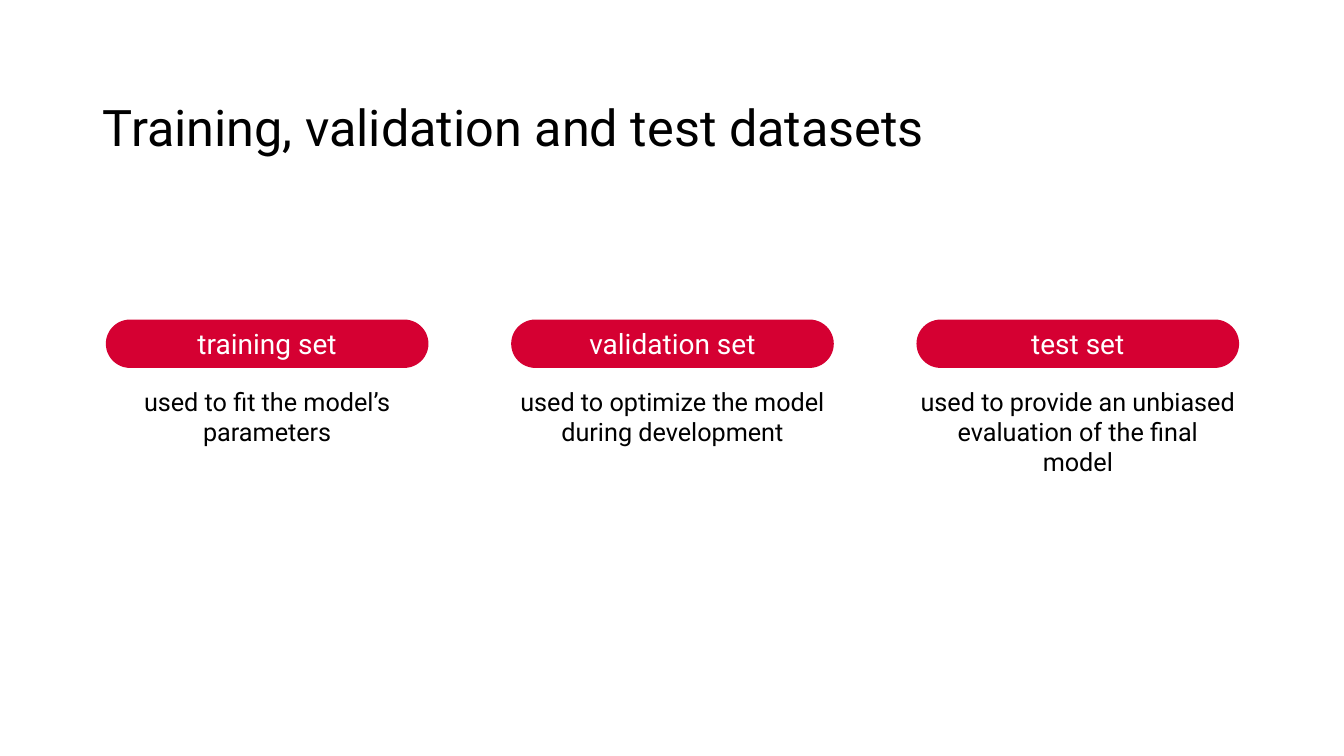
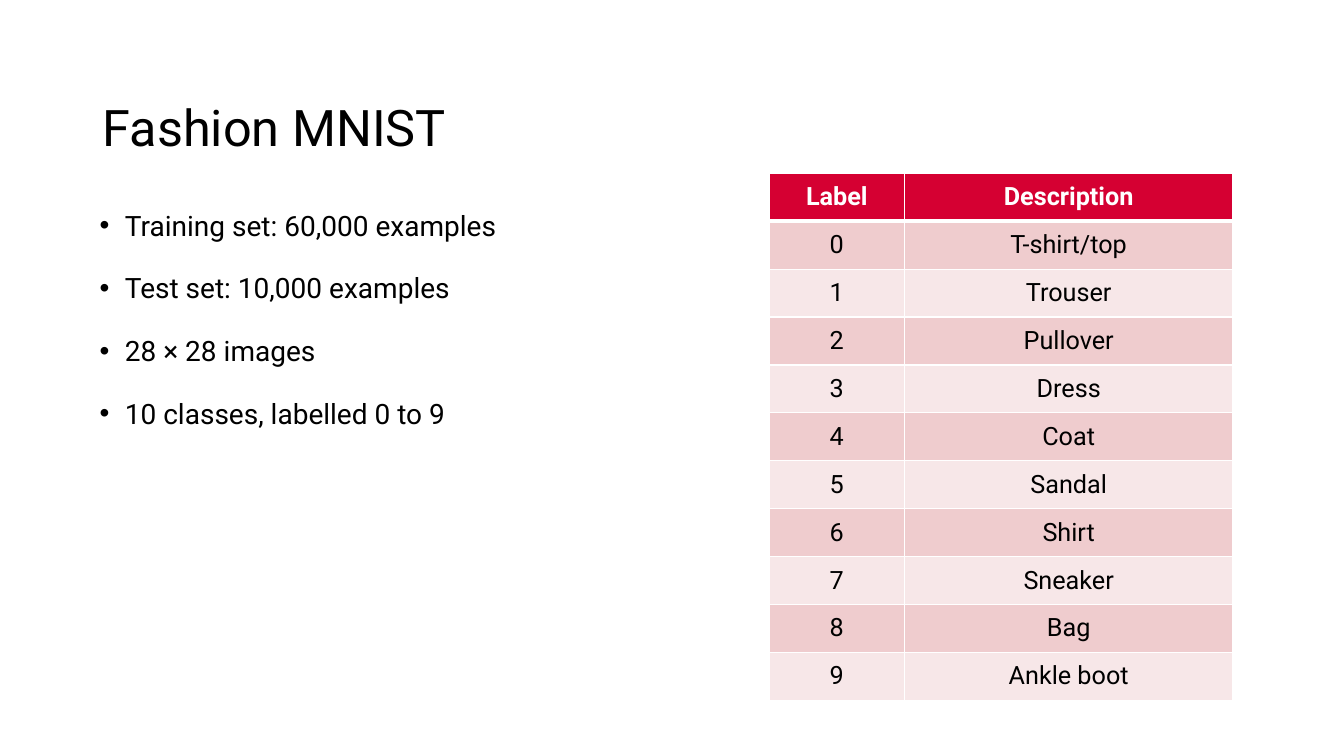
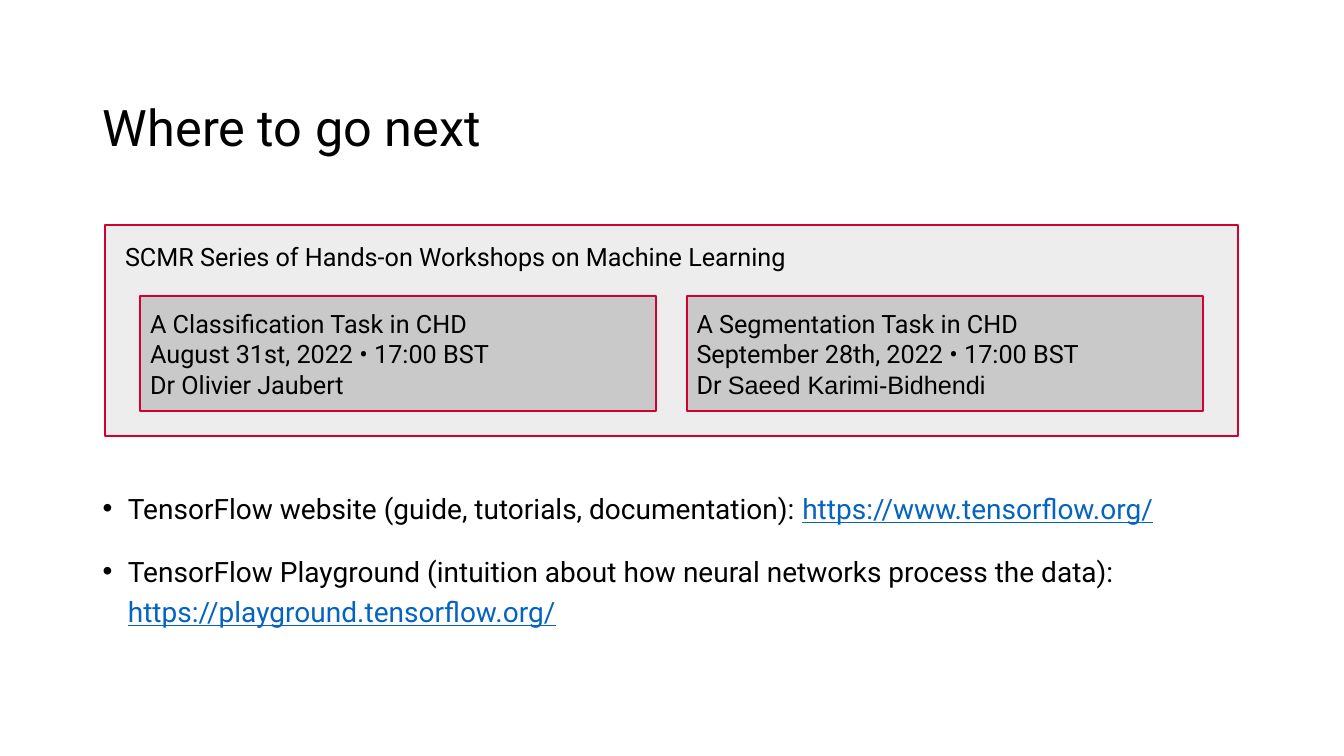
from lxml import etree
from pptx import Presentation
from pptx.dml.color import RGBColor
from pptx.enum.shapes import MSO_SHAPE
from pptx.enum.text import MSO_ANCHOR, MSO_AUTO_SIZE, PP_ALIGN
from pptx.oxml.ns import qn
from pptx.util import Inches, Pt

RECT, PILL = MSO_SHAPE.RECTANGLE, MSO_SHAPE.ROUNDED_RECTANGLE
LEFT, CENTER = PP_ALIGN.LEFT, PP_ALIGN.CENTER
TOP, MIDDLE = MSO_ANCHOR.TOP, MSO_ANCHOR.MIDDLE

COLORS = {"accent": "D50032", "text": "000000", "white": "FFFFFF",
          "link": "0563C1", "panel": "EDEDED", "card": "C9C9C9",
          "odd_row": "EFCCCE", "even_row": "F7E7E8"}
TITLE_BOX = (0.92, 0.79, 11.5, 1.01)

DATASETS = [
    ("training set", "used to fit the model’s parameters"),
    ("validation set", "used to optimize the model during development"),
    ("test set", "used to provide an unbiased evaluation of the final model"),
]
FACTS = ["Training set: 60,000 examples", "Test set: 10,000 examples",
         "28 × 28 images", "10 classes, labelled 0 to 9"]
CLASSES = ["T-shirt/top", "Trouser", "Pullover", "Dress", "Coat",
           "Sandal", "Shirt", "Sneaker", "Bag", "Ankle boot"]
SERIES = "SCMR Series of Hands-on Workshops on Machine Learning"
WORKSHOPS = [
    ["A Classification Task in CHD", "August 31st, 2022 • 17:00 BST",
     "Dr Olivier Jaubert"],
    ["A Segmentation Task in CHD", "September 28th, 2022 • 17:00 BST",
     ["Dr ", ("Saeed Karimi-Bidhendi", {"name": "Arial"})]],
]
LINK = {"color": "link", "underline": True}
RESOURCES = [
    ["TensorFlow website (guide, tutorials, documentation): ",
     ("https://www.tensorflow.org/", LINK)],
    ["TensorFlow Playground (intuition about how neural networks process the data): ",
     ("https://playground.tensorflow.org/", LINK)],
]


def rgb(name):
    return RGBColor.from_string(COLORS[name])


def inches(*lengths):
    return [Inches(n) for n in lengths]


def write(tf, paragraphs, size=18, align=LEFT, anchor=TOP, bullets=False, **style):
    """Fill a frame; a paragraph is a string or a list of strings and (text, style) runs."""
    tf.word_wrap, tf.vertical_anchor = True, anchor
    for i, parts in enumerate(paragraphs):
        p = tf.add_paragraph() if i else tf.paragraphs[0]
        p.alignment = align
        if bullets:
            pPr = p._p.get_or_add_pPr()
            pPr.set("marL", str(Inches(0.25)))
            pPr.set("indent", str(-Inches(0.25)))
            etree.SubElement(pPr, qn("a:buFont"), typeface="Arial")
            etree.SubElement(pPr, qn("a:buChar"), char="•")
            p.line_spacing, p.space_after = 1.2, Pt(6)
            p.space_before = Pt(10 if i else 0)
        for part in [parts] if isinstance(parts, str) else parts:
            text, own = (part, {}) if isinstance(part, str) else part
            r = p.add_run()
            r.text = text
            values = {"name": "Roboto", "size": Pt(size), "color": "text", **style, **own}
            r.font.color.rgb = rgb(values.pop("color"))
            for key, value in values.items():
                setattr(r.font, key, value)


def add_text(s, box, paragraphs, **style):
    write(s.shapes.add_textbox(*inches(*box)).text_frame, paragraphs, **style)


def add_block(s, kind, box, fill, paragraphs, line=None, **style):
    sp = s.shapes.add_shape(kind, *inches(*box))
    sp.shadow.inherit = False
    sp.fill.solid()
    sp.fill.fore_color.rgb = rgb(fill)
    if line:
        sp.line.color.rgb, sp.line.width = rgb(line), Pt(1.5)
    else:
        sp.line.fill.background()
    write(sp.text_frame, paragraphs, **style)
    return sp


def add_slide(prs, title):
    s = prs.slides.add_slide(prs.slide_layouts[5])
    sp = s.shapes.title
    sp.left, sp.top, sp.width, sp.height = inches(*TITLE_BOX)
    write(sp.text_frame, [title], size=36, anchor=MIDDLE)
    sp.text_frame.auto_size = MSO_AUTO_SIZE.NONE
    sp.text_frame.paragraphs[0].line_spacing = 0.9
    return s


def set_borders(cell, **widths):
    tcPr = cell._tc.get_or_add_tcPr()
    for side in "LRTB":
        ln = etree.SubElement(tcPr, qn("a:ln" + side), w=str(Pt(widths.get(side, 1))))
        fill = etree.SubElement(ln, qn("a:solidFill"))
        etree.SubElement(fill, qn("a:srgbClr"), val=COLORS["white"])


def add_class_table(s, box, col_widths):
    rows = [("Label", "Description")] + [(str(i), c) for i, c in enumerate(CLASSES)]
    table = s.shapes.add_table(len(rows), len(col_widths), *inches(*box)).table
    for col, width in zip(table.columns, col_widths):
        col.width = Inches(width)
    for i, row in enumerate(rows):
        table.rows[i].height = Inches(box[3] / len(rows))
        header = i == 0
        fill = "accent" if header else "odd_row" if i % 2 else "even_row"
        for j, text in enumerate(row):
            cell = table.cell(i, j)
            set_borders(cell, T=3 if i == 1 else 1, B=3 if header else 1)
            cell.fill.solid()
            cell.fill.fore_color.rgb = rgb(fill)
            cell.vertical_anchor = MIDDLE
            write(cell.text_frame, [text], align=CENTER, anchor=None,
                  bold=header, color="white" if header else "text")


def datasets_slide(prs):
    s = add_slide(prs, "Training, validation and test datasets")
    left, width, pitch, overhang = 1.05, 3.2, 4.02, 0.06
    for i, (name, purpose) in enumerate(DATASETS):
        x = left + i * pitch
        pill = add_block(s, PILL, (x, 3.17, width, 0.48), "accent", [name], size=20,
                         align=CENTER, anchor=MIDDLE, color="white")
        pill.adjustments[0] = 0.5
        add_text(s, (x - overhang, 3.78, width + 2 * overhang, 1.01), [purpose],
                 align=CENTER)


def fashion_slide(prs):
    s = add_slide(prs, "Fashion MNIST")
    add_text(s, (0.89, 1.95, 5.78, 4.75), FACTS, size=20, bullets=True)
    add_class_table(s, (7.63, 1.72, 4.6, 5.23), (1.34, 3.26))


def next_steps_slide(prs):
    s = add_slide(prs, "Where to go next")
    panel = add_block(s, RECT, (1.04, 2.23, 11.24, 2.1), "panel", [SERIES], line="accent")
    tf = panel.text_frame
    tf.margin_left = tf.margin_right = Inches(0.2)
    tf.margin_top = tf.margin_bottom = Inches(0.16)
    left, width, gap = 1.39, 5.12, 0.3
    for i, lines in enumerate(WORKSHOPS):
        add_block(s, RECT, (left + i * (width + gap), 2.94, width, 1.14), "card", lines,
                  line="accent", anchor=MIDDLE)
    add_text(s, (0.92, 4.76, 11.5, 1.99), RESOURCES, size=20, bullets=True)


def main():
    prs = Presentation()
    prs.slide_width, prs.slide_height = inches(13.33, 7.5)
    datasets_slide(prs)
    fashion_slide(prs)
    next_steps_slide(prs)
    prs.save("out.pptx")


if __name__ == "__main__":
    main()
